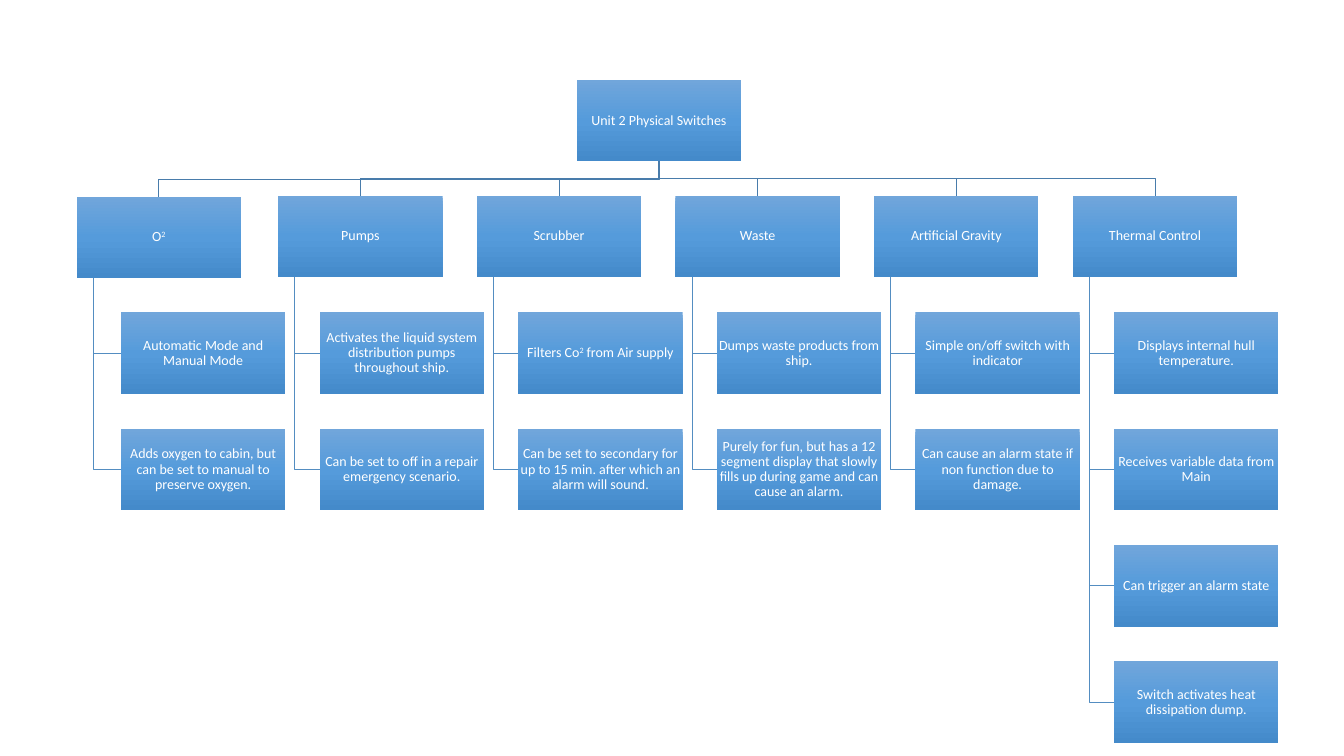
from copy import deepcopy

from pptx import Presentation
from pptx import util as u
from pptx.dml.color import RGBColor
from pptx.enum import shapes, text

BOX_W, BOX_H = 1.63, 0.81
ROOT_X, ROOT_Y = 5.72, 0.79
HEAD_Y, CHILD_X, CHILD_Y = 1.94, 1.2, 3.1
COL_STEP, ROW_STEP = 1.97, (6.56 - 3.1) / 3
GRADIENT = [(0, "71A6DB"), (0.5, "559BDB"), (1, "448ACA")]

# Text between carets is superscript
SWITCHES = [
    ("O^2^", ["Automatic Mode and Manual Mode",
              "Adds oxygen to cabin, but can be set to manual to preserve oxygen."]),
    ("Pumps", ["Activates the liquid system distribution pumps throughout ship.",
               "Can be set to off in a repair emergency scenario."]),
    ("Scrubber", ["Filters Co^2^ from Air supply",
                  "Can be set to secondary for up to 15 min. after which an alarm will sound."]),
    ("Waste", ["Dumps waste products from ship.",
               "Purely for fun, but has a 12 segment display that slowly fills up "
               "during game and can cause an alarm."]),
    ("Artificial Gravity", ["Simple on/off switch with indicator",
                            "Can cause an alarm state if non function due to damage."]),
    ("Thermal Control", ["Displays internal hull temperature.",
                         "Receives variable data from Main",
                         "Can trigger an alarm state",
                         "Switch activates heat dissipation dump."]),
]

prs = Presentation()
prs.slide_width, prs.slide_height = u.Inches(13.33), u.Inches(7.5)
s = prs.slides.add_slide(prs.slide_layouts[6])


def add_line(points, color):
    pts = [(u.Inches(x), u.Inches(y)) for x, y in points]
    fb = s.shapes.build_freeform(*pts[0])
    fb.add_line_segments(pts[1:], close=False)
    sp = fb.convert_to_shape()
    sp.shadow.inherit = False
    sp.fill.background()
    sp.line.color.rgb = RGBColor.from_string(color)
    sp.line.width = u.Pt(0.5)


def add_box(label, x, y, size=10, font="Calibri", color="FFFFFF"):
    sp = s.shapes.add_shape(shapes.MSO_SHAPE.RECTANGLE, u.Inches(x), u.Inches(y),
                            u.Inches(BOX_W), u.Inches(BOX_H))
    sp.shadow.inherit = False
    sp.line.fill.background()
    # Three-stop vertical gradient
    sp.fill.gradient()
    sp.fill.gradient_angle = 270
    first = sp._element.xpath(".//a:gs")[0]
    first.addnext(deepcopy(first))
    for stop, (position, shade) in zip(sp.fill.gradient_stops, GRADIENT):
        stop.position = position
        stop.color.rgb = RGBColor.from_string(shade)
    # Centred label
    tf = sp.text_frame
    tf.word_wrap = True
    tf.vertical_anchor = text.MSO_ANCHOR.MIDDLE
    tf.margin_left = tf.margin_right = tf.margin_top = tf.margin_bottom = u.Inches(0.01)
    p = tf.paragraphs[0]
    p.alignment = text.PP_ALIGN.CENTER
    p.line_spacing = 0.9
    for i, part in enumerate(label.split("^")):
        if part:
            r = p.add_run()
            r.text = part
            r.font.size, r.font.name = u.Pt(size), font
            r.font.color.rgb = RGBColor.from_string(color)
            if i % 2:
                r._r.get_or_add_rPr().set("baseline", "30000")


# Place every box; the first heading sits slightly off the grid
boxes = [("Unit 2 Physical Switches", ROOT_X, ROOT_Y)]
root_mid, root_bottom = ROOT_X + BOX_W / 2, ROOT_Y + BOX_H

# Connecting lines, behind the boxes
for col, (name, details) in enumerate(SWITCHES):
    child_x = CHILD_X + col * COL_STEP
    head_x = child_x - (0.41 if col else 0.44)
    head_y = HEAD_Y + (0 if col else 0.01)
    boxes.append((name, head_x, head_y))
    head_mid, bend_y = head_x + BOX_W / 2, (root_bottom + head_y) / 2
    add_line([(root_mid, root_bottom), (root_mid, bend_y),
              (head_mid, bend_y), (head_mid, head_y)], "497CAB")
    for row, detail in enumerate(details):
        child_y = CHILD_Y + row * ROW_STEP
        boxes.append((detail, child_x, child_y))
        stem_x, child_mid = head_x + BOX_W / 10, child_y + BOX_H / 2
        add_line([(stem_x, head_y + BOX_H), (stem_x, child_mid),
                  (child_x, child_mid)], "538DC1")

# Boxes
for label, x, y in boxes:
    add_box(label, x, y)

prs.save("out.pptx")
